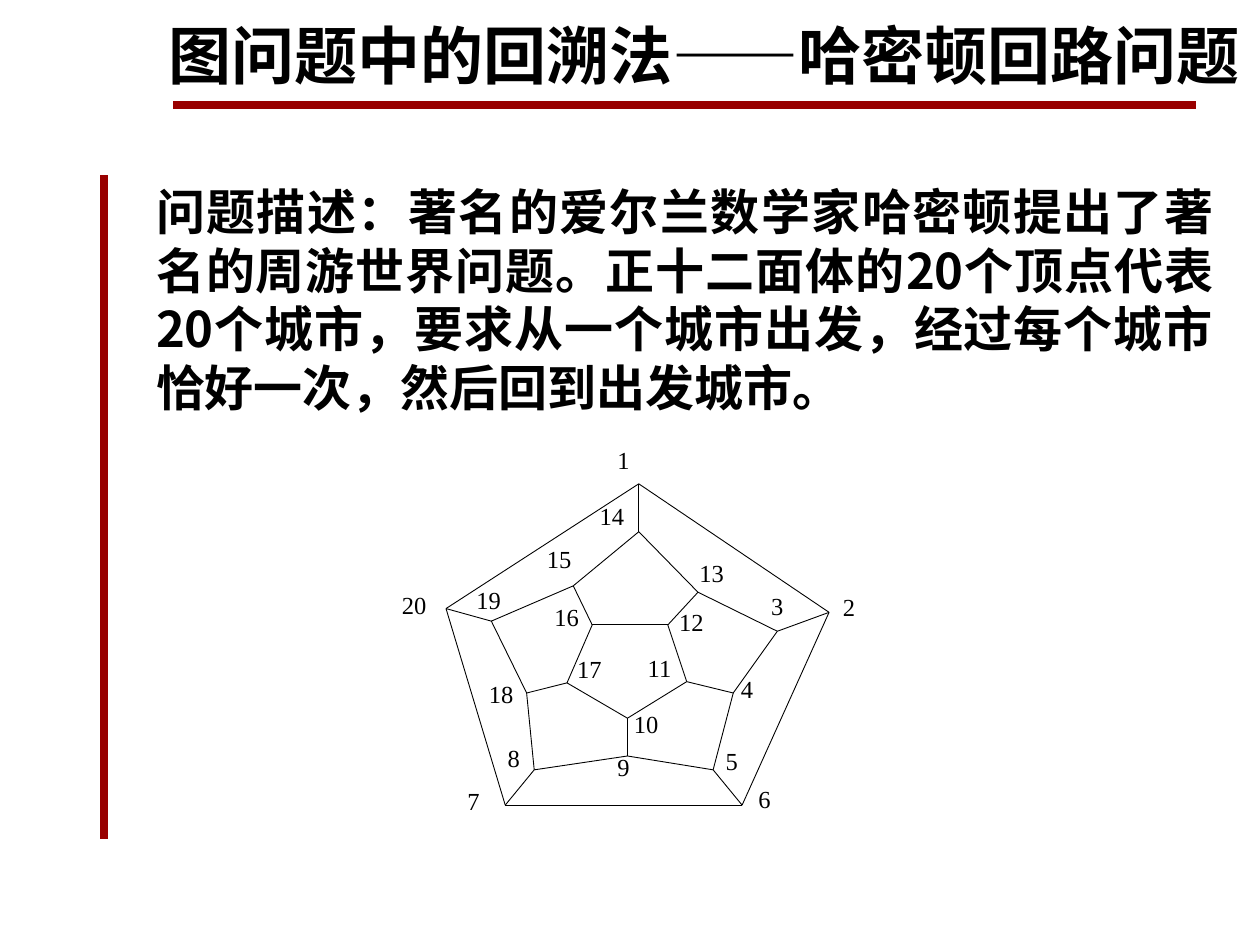
from lxml import etree
from pptx import Presentation, util as u
from pptx.dml.color import RGBColor
from pptx.enum import shapes, text
from pptx.oxml import ns

COLORS = {"ink": "000000", "accent": "990000"}
HEAD_FONT, LABEL_FONT = "Noto Sans CJK SC", "Times New Roman"

deck = Presentation()
deck.slide_width, deck.slide_height = u.Inches(10), u.Inches(7.5)
CELL = deck.slide_width // 100  # grid of 100 columns by 75 rows
slide = deck.slides.add_slide(deck.slide_layouts[5])


def write(box, words, *, at, size, font, bold=False, align="JUSTIFY",
          spacing=1.0, inset=(0, 0)):
    """Place a text shape on the grid and fill it with one formatted paragraph."""
    box.left, box.top, box.width, box.height = (round(n * CELL) for n in at)
    frame = box.text_frame
    frame.word_wrap = True
    frame.auto_size = text.MSO_AUTO_SIZE.NONE
    frame.vertical_anchor = text.MSO_ANCHOR.TOP
    frame.margin_left = frame.margin_right = round(inset[0] * CELL)
    frame.margin_top = frame.margin_bottom = round(inset[1] * CELL)
    line = frame.paragraphs[0]
    line.alignment = text.PP_ALIGN[align]
    line.line_spacing = spacing
    line.space_before = u.Pt(0)
    run = line.add_run()
    run.text = words
    run.font.size, run.font.bold, run.font.name = u.Pt(size), bold, font
    run.font.color.rgb = RGBColor.from_string(COLORS["ink"])
    east_asian = etree.SubElement(run.font._element, ns.qn("a:ea"))
    east_asian.set("typeface", font)


def draw(parent, points, color, weight):
    """Draw a straight connector, or an open outline through several points."""
    spots = [(round(x * CELL), round(y * CELL)) for x, y in points]
    if len(spots) == 2:
        stroke = parent.add_connector(shapes.MSO_CONNECTOR.STRAIGHT, *spots[0], *spots[1])
        etree.SubElement(stroke._element.spPr, ns.qn("a:effectLst"))
    else:
        pen = parent.build_freeform(*spots[0])
        pen.add_line_segments(spots[1:], close=False)
        stroke = pen.convert_to_shape()
        stroke.fill.background()
        stroke.shadow.inherit = False
    stroke.line.color.rgb = RGBColor.from_string(COLORS[color])
    stroke.line.width = u.Pt(weight)


# Accent rules beside the title and the body
for rule in ([(13.75, 8.35), (94.9, 8.35)], [(8.25, 13.9), (8.25, 66.6)]):
    draw(slide.shapes, rule, "accent", 4.5)

# Title and problem statement
write(slide.shapes.title, "图问题中的回溯法——哈密顿回路问题",
      at=(13, 1.3, 85.8, 6), size=36, font=HEAD_FONT, bold=True,
      align="CENTER")
write(slide.shapes.add_textbox(0, 0, 0, 0),
      "问题描述：著名的爱尔兰数学家哈密顿提出了著名的周游世界问题。"
      "正十二面体的20个顶点代表20个城市，要求从一个城市出发，"
      "经过每个城市恰好一次，然后回到出发城市。",
      at=(11.4, 13.9, 85.9, 19.7), size=28, font=HEAD_FONT, bold=True,
      inset=(1, 0.5))

# Cities of the dodecahedron: vertex, then top left of its number
cities = {
    1: ((50.7, 38.4), (49, 35.9)), 2: ((65.8, 48.6), (66.9, 47.6)),
    3: ((61.7, 50.1), (61.2, 47.5)), 4: ((58.2, 55), (58.8, 54.1)),
    5: ((56.6, 61.1), (57.6, 59.8)), 6: ((58.9, 63.9), (60.2, 62.8)),
    7: ((40.1, 63.9), (37.1, 63)), 8: ((42.4, 61.1), (40.3, 59.6)),
    9: ((49.8, 60), (49, 60.3)), 10: ((49.8, 57), (50.3, 56.9)),
    11: ((54.5, 54.1), (51.4, 52.4)), 12: ((53, 49.6), (53.9, 48.8)),
    13: ((55.4, 47), (55.5, 44.9)), 14: ((50.7, 42.2), (47.6, 40.4)),
    15: ((45.5, 46.5), (43.4, 43.8)), 16: ((47, 49.6), (44, 48.4)),
    17: ((45, 54.2), (45.8, 52.5)), 18: ((41.8, 55), (38.8, 54.5)),
    19: ((39, 49.3), (37.8, 47)), 20: ((35.4, 48.3), (31.9, 47.4)),
}
outer, inner = (1, 2, 6, 7, 20), (10, 11, 12, 16, 17)
ring = (14, 13, 3, 4, 5, 9, 8, 18, 19, 15)
spokes = [(1, 14), (2, 3), (6, 5), (7, 8), (20, 19),
          (10, 9), (11, 4), (12, 13), (16, 15), (17, 18)]
roads = spokes + [pair for loop in (outer, inner)
                  for pair in zip(loop, loop[1:] + loop[:1])]
roads += [(ring + ring[:1])[i:i + 3] for i in range(0, 10, 2)]

world = slide.shapes.add_group_shape().shapes
for road in roads:
    draw(world, [cities[city][0] for city in road], "ink", 0.5)
for city, (_, corner) in cities.items():
    write(world.add_textbox(0, 0, 0, 0), str(city),
          at=(*corner, 2 if city < 10 else 2.8, 2), size=14,
          font=LABEL_FONT, spacing=0.72)

deck.save("out.pptx")
